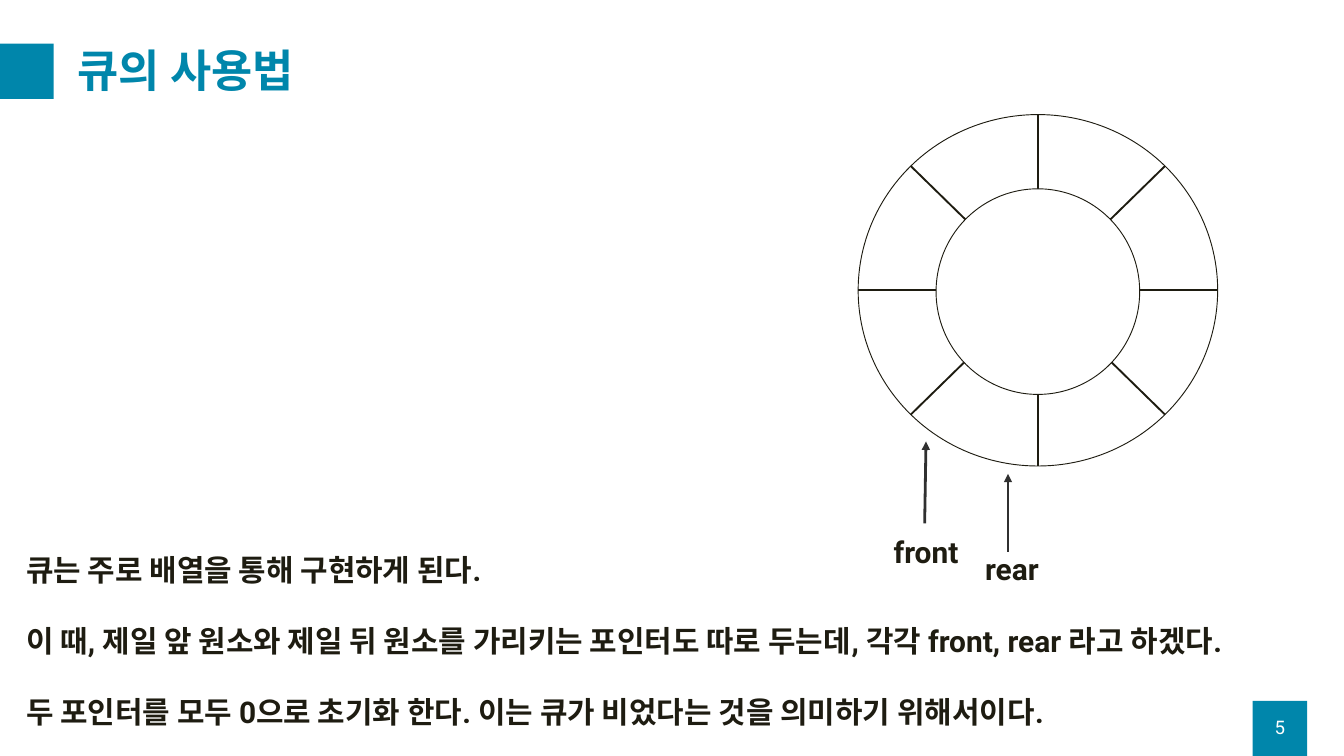
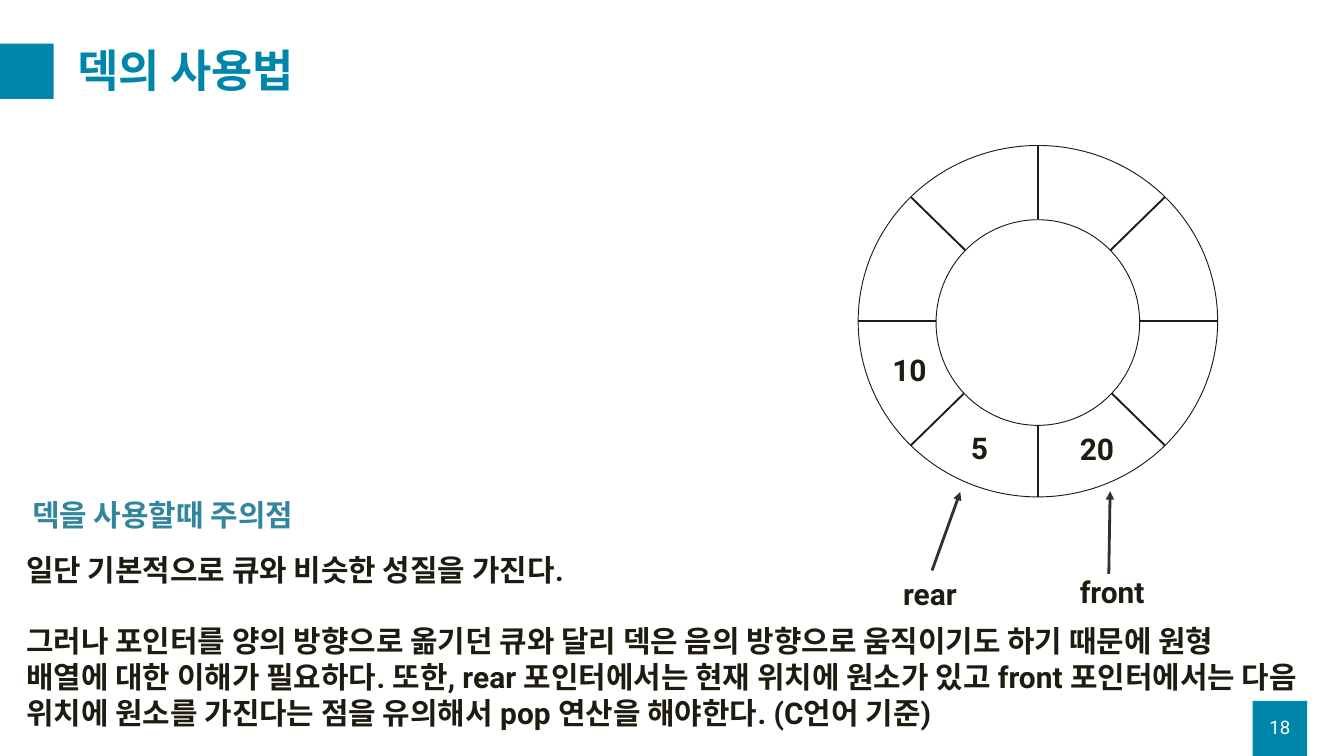
from math import cos, radians, sin

from lxml.etree import SubElement
from pptx import Presentation
from pptx.dml.color import RGBColor
from pptx.enum.shapes import MSO_CONNECTOR, MSO_SHAPE
from pptx.enum.text import MSO_ANCHOR, MSO_AUTO_SIZE, PP_ALIGN
from pptx.oxml.ns import qn
from pptx.util import Inches, Pt

COLORS = {
    "accent": "0086AB",
    "subtitle": "31859C",
    "ink": "1E1C11",
    "arrow": "303030",
    "white": "FFFFFF",
}
FONT = "Roboto"
TITLE = {"size": Pt(48), "bold": True}
BODY = {"size": Pt(32), "bold": True}
NUMBER = {"size": Pt(20)}
LABEL_SIZE = (1.36, 0.64)
BODY_BOX = (0.29, 8.16, 19.16, 2.79)
BAND_SIZE = (0.81, 0.82)
RING_X = 15.445
OUTER_RADII = (2.675, 2.615)
INNER_RADII = (1.515, 1.53)


def color(name):
    return RGBColor.from_string(COLORS[name])


def set_attributes(target, values):
    for name, value in values.items():
        setattr(target, name, value)


def add_text(slide, box, paragraphs, font_format, color_name="ink",
             frame_format=None, paragraph_format=None):
    frame = slide.shapes.add_textbox(*map(Inches, box)).text_frame
    set_attributes(frame, {
        "word_wrap": True,
        "auto_size": MSO_AUTO_SIZE.SHAPE_TO_FIT_TEXT,
        **(frame_format or {}),
    })
    for index, text in enumerate(paragraphs):
        paragraph = frame.add_paragraph() if index else frame.paragraphs[0]
        set_attributes(paragraph, paragraph_format or {})
        if index:
            paragraph.space_before = Pt(37.5)
        run = paragraph.add_run()
        run.text = text
        set_attributes(run.font, {"name": FONT, **font_format})
        run.font.color.rgb = color(color_name)


def add_label(slide, text, left, top):
    add_text(slide, (left, top, *LABEL_SIZE), [text], BODY)


def add_shape(shapes, kind, box, fill=None, line=None):
    shape = shapes.add_shape(kind, *map(Inches, box))
    shape.shadow.inherit = False
    if fill:
        shape.fill.solid()
        shape.fill.fore_color.rgb = color(fill)
    else:
        shape.fill.background()
    if line:
        shape.line.color.rgb = color(line)
        shape.line.width = Pt(1)
    else:
        shape.line.fill.background()


def add_line(shapes, start, end, color_name, width):
    connector = shapes.add_connector(
        MSO_CONNECTOR.STRAIGHT, *map(Inches, (*start, *end)))
    connector.line.color.rgb = color(color_name)
    connector.line.width = Pt(width)
    SubElement(connector._element.spPr, qn("a:effectLst"))
    return connector


def add_pointer(slide, tip, base):
    connector = add_line(slide.shapes, tip, base, "arrow", 3)
    SubElement(connector.line._get_or_add_ln(), qn("a:headEnd"), type="triangle")


def add_ellipse(shapes, center_y, radii, fill=None):
    radius_x, radius_y = radii
    box = (RING_X - radius_x, center_y - radius_y, 2 * radius_x, 2 * radius_y)
    add_shape(shapes, MSO_SHAPE.OVAL, box, fill, "ink")


def add_ring(slide, center_y):
    shapes = slide.shapes.add_group_shape().shapes
    for angle in (-45, 0, 45, 90):
        offset_x = OUTER_RADII[0] * cos(radians(angle))
        offset_y = OUTER_RADII[1] * sin(radians(angle))
        add_line(shapes, (RING_X + offset_x, center_y + offset_y),
                 (RING_X - offset_x, center_y - offset_y), "ink", 2)
    add_ellipse(shapes, center_y, OUTER_RADII)
    add_ellipse(shapes, center_y + 0.02, INNER_RADII, "white")


def add_base_slide(presentation, title, number):
    slide = presentation.slides.add_slide(presentation.slide_layouts[6])
    for left, top in ((18.64, 10.43), (-0.01, 0.65)):
        add_shape(slide.shapes, MSO_SHAPE.RECTANGLE,
                  (left, top, *BAND_SIZE), "accent")
    middle = {"vertical_anchor": MSO_ANCHOR.MIDDLE,
              "auto_size": MSO_AUTO_SIZE.NONE}
    add_text(slide, (1.06, 0.5, 18.25, 1.18), [title], TITLE, "accent",
             middle, {"line_spacing": 0.9})
    add_text(slide, (18.64, 10.52, 0.81, 0.6), [str(number)], NUMBER, "white",
             middle, {"alignment": PP_ALIGN.CENTER})
    return slide


def build_queue_slide(presentation):
    slide = add_base_slide(presentation, "큐의 사용법", 5)
    add_text(slide, BODY_BOX, [
        "큐는 주로 배열을 통해 구현하게 된다.",
        "이 때, 제일 앞 원소와 제일 뒤 원소를 가리키는 포인터도 따로 두는데, "
        "각각 front, rear 라고 하겠다.",
        "두 포인터를 모두 0으로 초기화 한다. "
        "이는 큐가 비었다는 것을 의미하기 위해서이다.",
    ], BODY)
    add_ring(slide, 4.32)
    add_pointer(slide, (13.78, 6.57), (13.76, 7.79))
    add_pointer(slide, (15, 7.05), (15, 8.21))
    add_label(slide, "front", 13.2, 7.89)
    add_label(slide, "rear", 14.56, 8.15)


def build_deque_slide(presentation):
    slide = add_base_slide(presentation, "덱의 사용법", 18)
    add_text(slide, BODY_BOX, [
        "일단 기본적으로 큐와 비슷한 성질을 가진다.",
        "그러나 포인터를 양의 방향으로 옮기던 큐와 달리 덱은 음의 방향으로 "
        "움직이기도 하기 때문에 원형 배열에 대한 이해가 필요하다. "
        "또한, rear 포인터에서는 현재 위치에 원소가 있고 front 포인터에서는 "
        "다음 위치에 원소를 가진다는 점을 유의해서 pop 연산을 해야한다. "
        "(C언어 기준)",
    ], BODY)
    add_ring(slide, 4.78)
    add_text(slide, (0.38, 7.34, 5.8, 0.64), ["덱을 사용할때 주의점"],
             BODY, "subtitle")
    for text, left, top in (
        ("10", 13.18, 5.18),
        ("5", 14.35, 6.35),
        ("20", 15.97, 6.36),
        ("front", 15.97, 8.49),
        ("rear", 13.34, 8.51),
    ):
        add_label(slide, text, left, top)
    add_pointer(slide, (16.52, 7.31), (16.5, 8.54))
    add_pointer(slide, (14.29, 7.32), (13.87, 8.49))


def main():
    presentation = Presentation()
    set_attributes(presentation, {"slide_width": Inches(20),
                                  "slide_height": Inches(11.25)})
    build_queue_slide(presentation)
    build_deque_slide(presentation)
    presentation.save("out.pptx")


if __name__ == "__main__":
    main()
